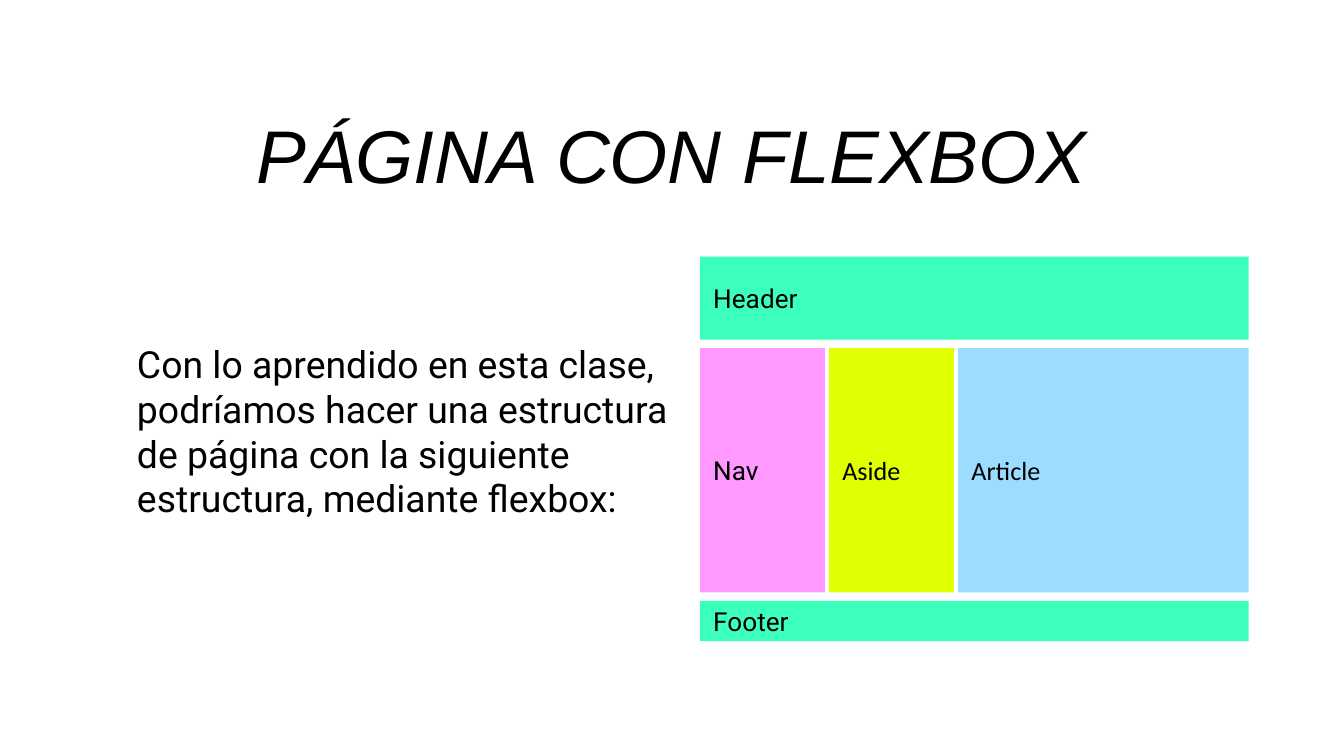
from lxml import etree
from pptx import Presentation
from pptx import util as u
from pptx.dml.color import RGBColor
from pptx.enum import shapes, text
from pptx.oxml.ns import qn

COLORS = {
    "ink": "000000",
    "band": "3DFFBC",
    "nav": "FF00FF",
    "aside": "E0FF00",
    "article": "9CDCFE",
}
INSET = u.Cm(0.25)
ROW_GAP = 0.16
COLUMN_GAP = 0.08


def apply_format(target, values):
    for name, value in values.items():
        setattr(target, name, value)


def write(frame, wording, anchor, paragraph_format, font_format):
    apply_format(frame, {
        "word_wrap": True,
        "auto_size": text.MSO_AUTO_SIZE.NONE,
        "vertical_anchor": anchor,
        "margin_left": INSET,
        "margin_top": INSET,
        "margin_right": INSET,
        "margin_bottom": INSET,
    })
    paragraph = frame.paragraphs[0]
    apply_format(paragraph, paragraph_format)
    run = paragraph.add_run()
    run.text = wording
    apply_format(run.font, font_format)
    run.font.color.rgb = RGBColor.from_string(COLORS["ink"])


def place_heading(slide, left, top, width, height):
    heading = slide.shapes.title
    apply_format(heading, {
        "left": u.Cm(left), "top": u.Cm(top),
        "width": u.Cm(width), "height": u.Cm(height),
    })
    write(heading.text_frame, "PÁGINA CON FLEXBOX", text.MSO_ANCHOR.TOP,
          {"alignment": text.PP_ALIGN.CENTER, "line_spacing": 1.15,
           "space_before": u.Pt(0), "space_after": u.Pt(3)},
          {"name": "Arial", "size": u.Pt(40), "italic": True})


def place_intro(slide, left, top, width, height):
    intro = slide.shapes.add_textbox(u.Cm(left), u.Cm(top), u.Cm(width), u.Cm(height))
    write(intro.text_frame,
          "Con lo aprendido en esta clase, podríamos hacer una estructura "
          "de página con la siguiente estructura, mediante flexbox:",
          text.MSO_ANCHOR.TOP, {"alignment": text.PP_ALIGN.LEFT},
          {"name": "Roboto", "size": u.Pt(20)})


def place_block(slide, left, top, width, height, label, color, font, opacity):
    block = slide.shapes.add_shape(shapes.MSO_SHAPE.RECTANGLE, u.Cm(left), u.Cm(top),
                                   u.Cm(width), u.Cm(height))
    block.shadow.inherit = False
    block.fill.solid()
    block.fill.fore_color.rgb = RGBColor.from_string(COLORS[color])
    block.line.fill.background()
    if opacity < 100:
        tint = block.fill._xPr.find(qn("a:solidFill"))[0]
        etree.SubElement(tint, qn("a:alpha"), val=str(opacity * 1000))
    write(block.text_frame, label, text.MSO_ANCHOR.MIDDLE,
          {"alignment": text.PP_ALIGN.LEFT}, {"name": font, "size": u.Pt(14)})


def place_wireframe(slide, left, top, width, height):
    header_height, footer_height = 1.57, 0.76
    side_width = 2.36
    main_height = height - header_height - footer_height - 2 * ROW_GAP
    article_width = width - 2 * (side_width + COLUMN_GAP)
    rows = [
        (header_height, [(width, "Header", "band", "Roboto", 100)]),
        (main_height, [
            (side_width, "Nav", "nav", "Roboto", 40),
            (side_width, "Aside", "aside", "Calibri", 100),
            (article_width, "Article", "article", "Calibri", 100),
        ]),
        (footer_height, [(width, "Footer", "band", "Roboto", 100)]),
    ]
    for row_height, blocks in rows:
        block_left = left
        for block_width, *style in blocks:
            place_block(slide, block_left, top, block_width, row_height, *style)
            block_left += block_width + COLUMN_GAP
        top += row_height + ROW_GAP


def main():
    deck = Presentation()
    deck.slide_width, deck.slide_height = u.Cm(25.4), u.Cm(14.29)
    slide = deck.slides.add_slide(deck.slide_layouts[5])
    place_heading(slide, 2.8, 1.55, 19.79, 1.93)
    place_intro(slide, 2.34, 6.2, 10.8, 3.2)
    place_wireframe(slide, 13.23, 4.85, 10.37, 7.27)
    deck.save("out.pptx")


if __name__ == "__main__":
    main()
